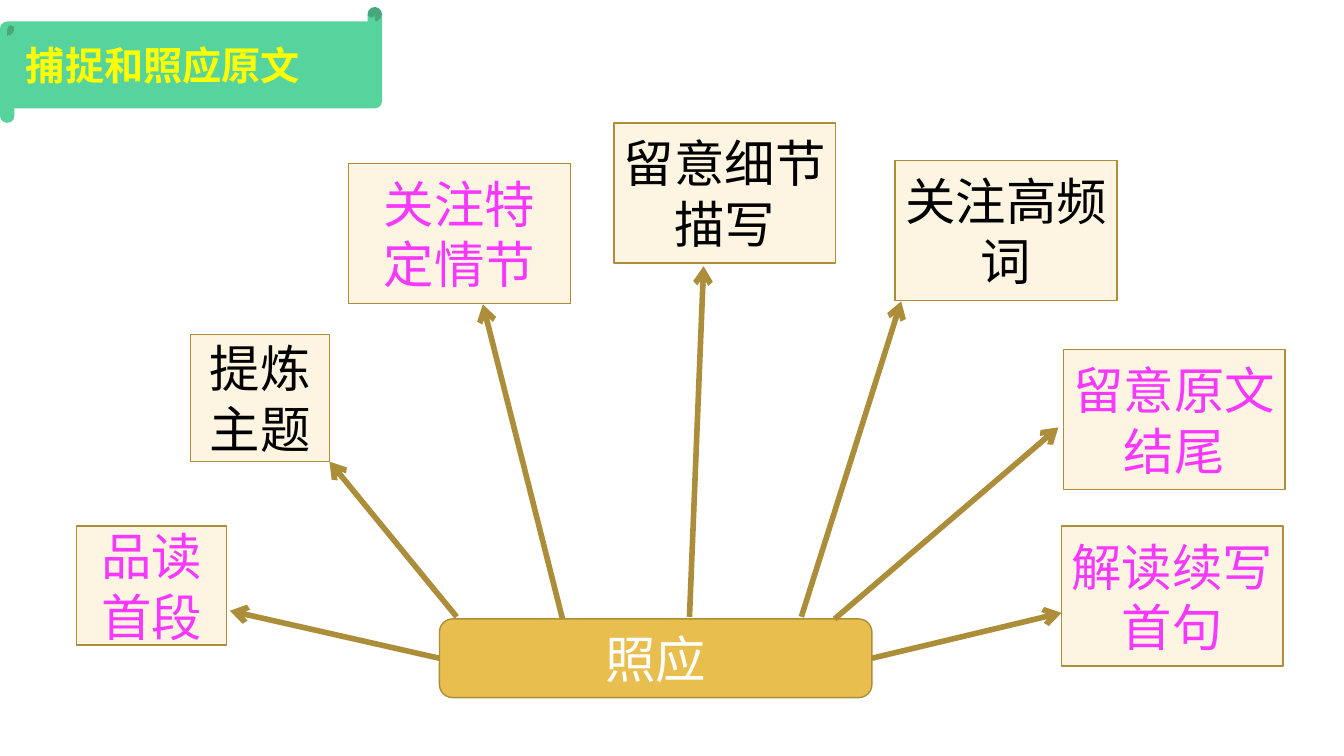
from lxml import etree
from pptx import Presentation
from pptx.dml.color import RGBColor
from pptx.enum.shapes import MSO_CONNECTOR, MSO_SHAPE
from pptx.enum.text import MSO_ANCHOR, MSO_AUTO_SIZE, PP_ALIGN
from pptx.oxml.ns import qn
from pptx.util import Pt

GREEN = RGBColor(0x57, 0xD4, 0x9D)
YELLOW = RGBColor(0xFF, 0xFF, 0x00)
GOLD = RGBColor(0xE8, 0xBE, 0x4F)
BRONZE = RGBColor(0xAC, 0x8D, 0x3A)
CREAM = RGBColor(0xFD, 0xF5, 0xE2)
MAGENTA = RGBColor(0xF7, 0x38, 0xFE)
BLACK = RGBColor(0x00, 0x00, 0x00)
WHITE = RGBColor(0xFF, 0xFF, 0xFF)
FONT = "Arial"

# Content; positions in points
TITLE = "捕捉和照应原文"
HUB = ("照应", (313.9, 442.1, 308.9, 56.2))
WIDE = (158.4, 100.1)
# text, colour, (left, top), (width, height), arrow start, arrow end
BRANCHES = [
    ("品读\n首段", MAGENTA, (54.7, 375.8), (107.3, 85), (313.9, 470.2), (164.2, 436.3)),
    ("提炼\n主题", BLACK, (136.1, 239), (99.4, 90.7), (326.2, 440.6), (235.4, 329.8)),
    ("关注特\n定情节", MAGENTA, (249.1, 116.6), WIDE, (401.8, 442.1), (344.9, 217.4)),
    ("留意细节描写", BLACK, (438.5, 87.8), WIDE, (492.5, 440.6), (502.6, 190.1)),
    ("关注高频词", BLACK, (639.4, 114.5), WIDE, (572.4, 440.6), (643.7, 215.3)),
    ("留意原文结尾", MAGENTA, (759.6, 249.8), WIDE, (596.2, 442.1), (756, 305.3)),
    ("解读续写首句", MAGENTA, (758.2, 375.8), WIDE, (622.8, 470.2), (758.2, 437.8)),
]
HUB_SIDES = {0: 1, len(BRANCHES) - 1: 3}  # outer arrows leave from the hub's sides

presentation = Presentation()
presentation.slide_width, presentation.slide_height = Pt(960), Pt(540)
slide = presentation.slides.add_slide(presentation.slide_layouts[6])


def format_text(text_frame, text, size, color, bold=False, align=PP_ALIGN.CENTER):
    text_frame.text = text
    text_frame.word_wrap = True
    for paragraph in text_frame.paragraphs:
        paragraph.alignment = align
        for run in paragraph.runs:
            run.font.name = FONT
            run.font.size = Pt(size)
            run.font.bold = bold
            run.font.color.rgb = color


def add_box(kind, box, fill, line=None):
    shape = slide.shapes.add_shape(kind, *map(Pt, box))
    shape.shadow.inherit = False
    shape.fill.solid()
    shape.fill.fore_color.rgb = fill
    if line is None:
        shape.line.fill.background()
    else:
        shape.line.color.rgb = line
        shape.line.width = Pt(1)
    return shape


def add_label(kind, box, fill, text, color):
    shape = add_box(kind, box, fill, BRONZE)
    text_frame = shape.text_frame
    text_frame.vertical_anchor = MSO_ANCHOR.MIDDLE
    text_frame.margin_left = text_frame.margin_right = Pt(7)
    format_text(text_frame, text, 36, color)
    return shape


def add_arrow(start, end):
    connector = slide.shapes.add_connector(MSO_CONNECTOR.STRAIGHT, *map(Pt, start + end))
    connector.line.color.rgb = BRONZE
    connector.line.width = Pt(4)
    properties = connector._element.spPr
    etree.SubElement(properties.find(qn("a:ln")), qn("a:tailEnd"), type="arrow")
    etree.SubElement(properties, qn("a:effectLst"))
    return connector


# Title scroll
add_box(MSO_SHAPE.HORIZONTAL_SCROLL, (0, 5, 272.9, 82.8), GREEN)
title_box = slide.shapes.add_textbox(Pt(11.5), Pt(25.9), Pt(249.1), Pt(41))
format_text(title_box.text_frame, TITLE, 28, YELLOW, True, PP_ALIGN.LEFT)
title_box.text_frame.auto_size = MSO_AUTO_SIZE.SHAPE_TO_FIT_TEXT

# Hub and branch boxes
hub_text, hub_box = HUB
hub = add_label(MSO_SHAPE.ROUNDED_RECTANGLE, hub_box, GOLD, hub_text, WHITE)
for text, color, position, size, _, _ in BRANCHES:
    add_label(MSO_SHAPE.RECTANGLE, position + size, CREAM, text, color)

# Arrows from the hub to the branches
for index, (_, _, _, _, start, end) in enumerate(BRANCHES):
    arrow = add_arrow(start, end)
    if index in HUB_SIDES:
        arrow.begin_connect(hub, HUB_SIDES[index])

presentation.save("out.pptx")
